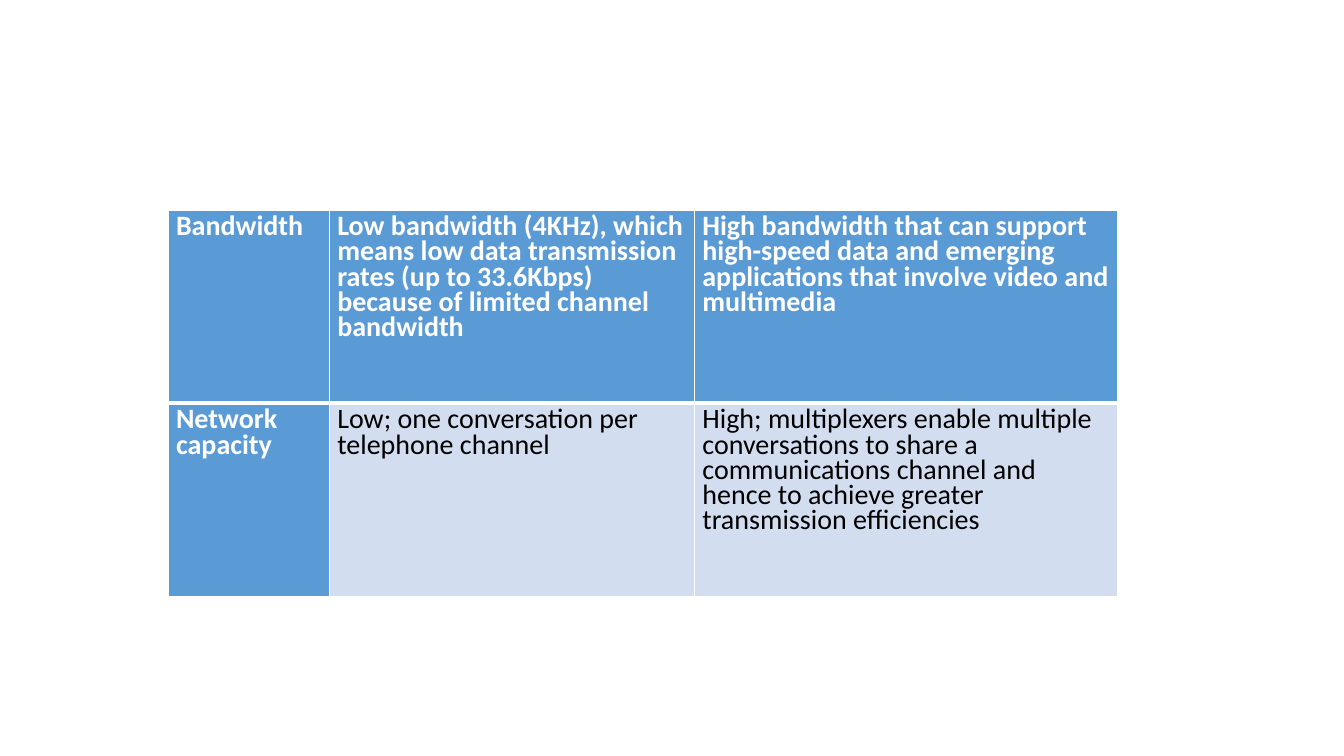
from lxml.etree import SubElement
from pptx import Presentation
from pptx.dml.color import RGBColor
from pptx.oxml.ns import qn
from pptx.util import Inches, Pt

HUES = {"head": "5B9BD5", "body": "D2DEEF", "white": "FFFFFF", "black": "000000"}
COLS, ROWS = 24, 18

# Table content and sizes in grid units
WIDTHS = [2.88, 6.52, 7.56]
HEIGHTS = [4.6, 4.6]
CELLS = [
    ["Bandwidth",
     "Low bandwidth (4KHz), which means low data transmission rates "
     "(up to 33.6Kbps) because of limited channel bandwidth",
     "High bandwidth that can support high-speed data and emerging "
     "applications that involve video and multimedia"],
    ["Network capacity",
     "Low; one conversation per telephone channel",
     "High; multiplexers enable multiple conversations to share a "
     "communications channel and hence to achieve greater transmission "
     "efficiencies"],
]


def apply(item, form):
    for key, value in form.items():
        setattr(item, key, value)


class Page:
    font = {"name": "Calibri", "size": Pt(20)}
    para = {"line_spacing": Pt(18), "space_after": Pt(12)}
    inset = {"margin_" + side: Inches(0.08)
             for side in ("left", "top", "right", "bottom")}
    plain = {"first_row": False, "horz_banding": False}

    def __init__(self, deck):
        self.slide = deck.slides.add_slide(deck.slide_layouts[6])
        self.unit_x = deck.slide_width / COLS
        self.unit_y = deck.slide_height / ROWS

    def across(self, count):
        return round(count * self.unit_x)

    def down(self, count):
        return round(count * self.unit_y)

    def table(self, left, top, widths, heights, texts):
        frame = self.slide.shapes.add_table(
            len(heights), len(widths), self.across(left), self.down(top),
            self.across(sum(widths)), self.down(sum(heights)))
        grid = frame.table
        apply(grid, self.plain)
        for col, width in zip(grid.columns, widths):
            col.width = self.across(width)
        for row, height in zip(grid.rows, heights):
            row.height = self.down(height)
        for r, line in enumerate(texts):
            for c, text in enumerate(line):
                # The rule between heading and body is thicker
                edges = {"L": 1, "R": 1, "T": 3 if r == 1 else 1,
                         "B": 3 if r == 0 else 1}
                self.cell(grid.cell(r, c), text, r == 0 or c == 0, edges)

    def cell(self, cell, text, head, edges):
        apply(cell, self.inset)
        self.border(cell, edges)
        cell.fill.solid()
        cell.fill.fore_color.rgb = RGBColor.from_string(
            HUES["head" if head else "body"])
        para = cell.text_frame.paragraphs[0]
        apply(para, self.para)
        run = para.add_run()
        run.text = text
        apply(run.font, {**self.font, "bold": head})
        run.font.color.rgb = RGBColor.from_string(
            HUES["white" if head else "black"])

    def border(self, cell, edges):
        props = cell._tc.get_or_add_tcPr()
        for side, width in edges.items():
            line = SubElement(props, qn("a:ln" + side), w=str(Pt(width)))
            fill = SubElement(line, qn("a:solidFill"))
            SubElement(fill, qn("a:srgbClr"), val=HUES["white"])


def main():
    deck = Presentation()
    apply(deck, {"slide_width": Inches(13.33), "slide_height": Inches(7.5)})
    page = Page(deck)

    # Comparison table
    page.table(3, 5, WIDTHS, HEIGHTS, CELLS)
    deck.save("out.pptx")


if __name__ == "__main__":
    main()
